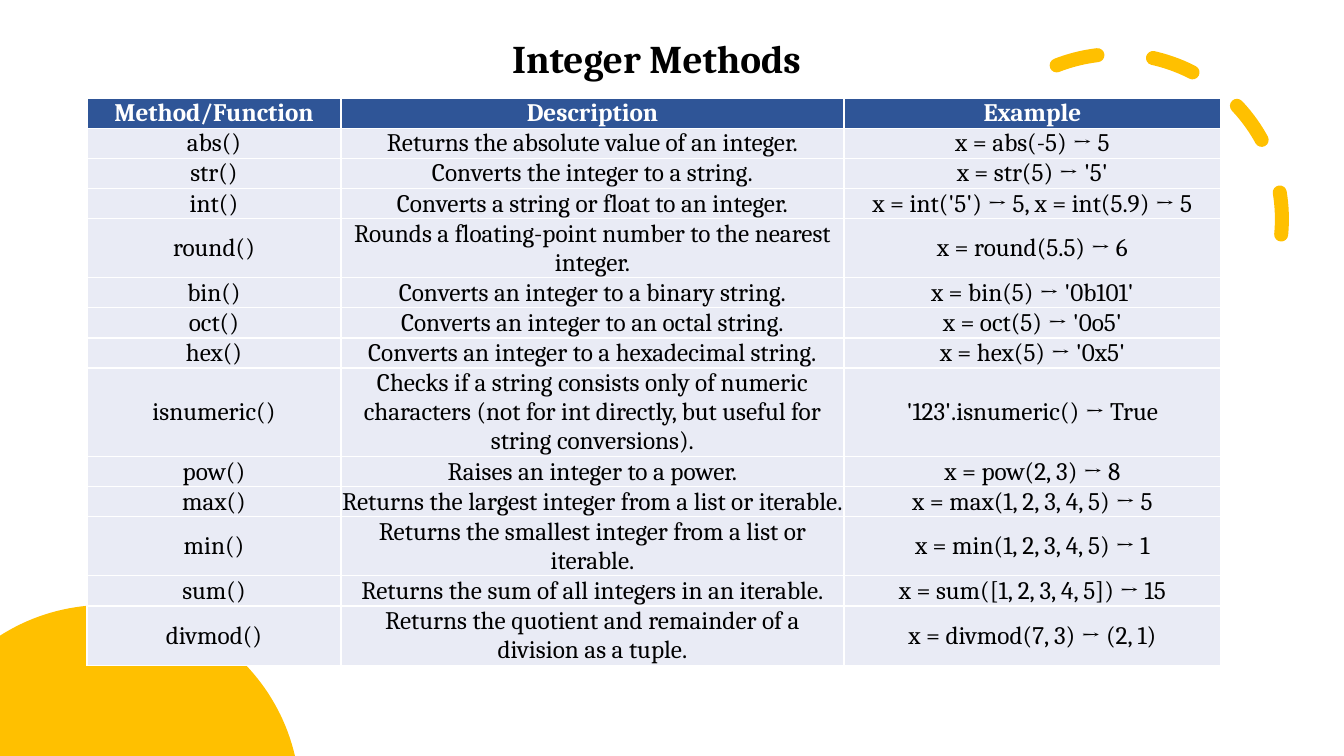
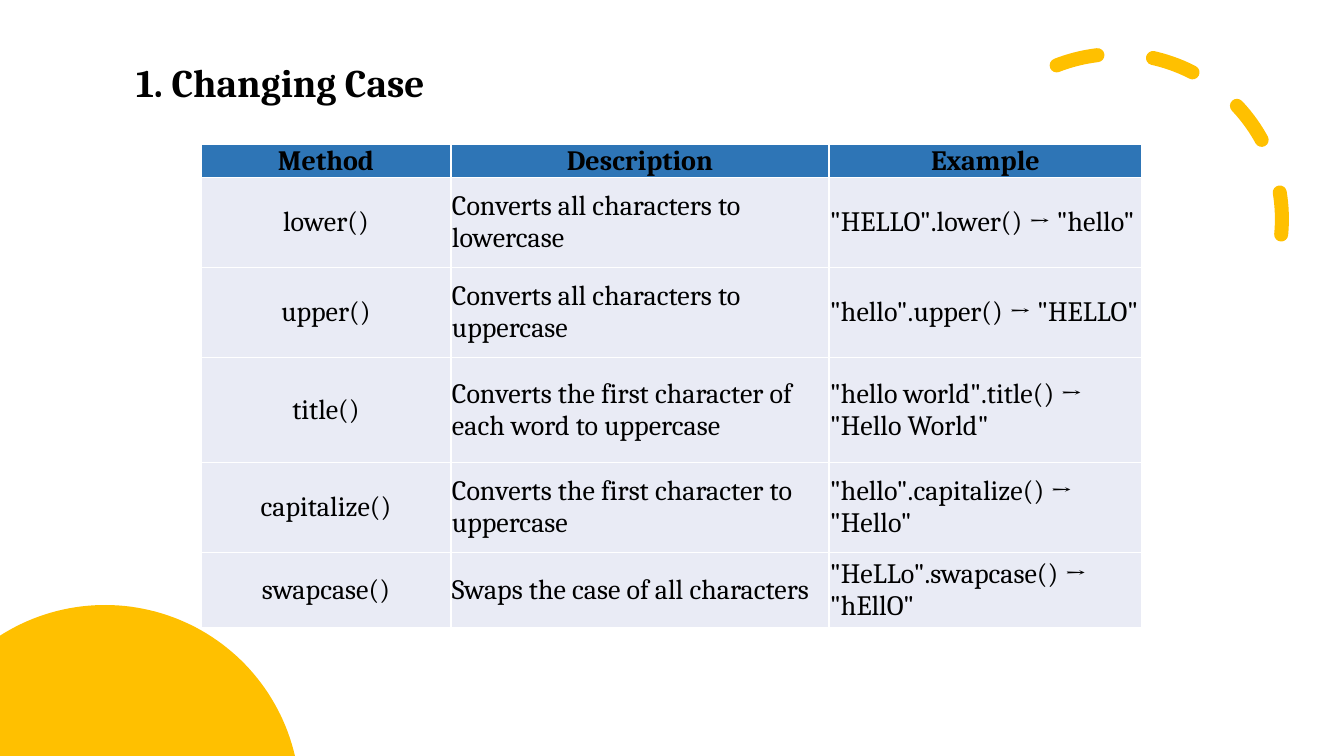
from math import acos, asin, cos, pi, sin
from lxml import etree
from pptx import Presentation
from pptx.dml.color import RGBColor
from pptx.enum.dml import MSO_LINE
from pptx.enum.shapes import MSO_SHAPE
from pptx.enum.text import MSO_ANCHOR, MSO_AUTO_SIZE, PP_ALIGN
from pptx.oxml.ns import qn
from pptx.util import Emu, Pt

ARC = MSO_SHAPE.ARC
DASH = MSO_LINE.DASH
MID = MSO_ANCHOR.MIDDLE
FIXED = MSO_AUTO_SIZE.NONE
LEFT, CENTER = PP_ALIGN.LEFT, PP_ALIGN.CENTER
WIDE, HIGH = 1344, 756

THEME = {
    "font": "Cambria", "title": 28, "gold": "FFC000", "pale": "E9EBF5",
    "ink": "000000", "white": "FFFFFF", "navy": "2F5597", "blue": "2E75B6",
}


def px(count):
    return Emu(round(count * 12192000 / WIDE))


def style(para, size, ink, bold, align):
    para.alignment = align
    for run in para.runs:
        font = run.font
        font.name, font.size, font.bold = THEME["font"], Pt(size), bold
        font.color.rgb = RGBColor.from_string(THEME[ink])


PAGES = [
    {
        "title": "Integer Methods", "place": (502, 29, 340, 57),
        "table": (87, 98), "cols": [254, 503, 377],
        "rows": [29 * lines for lines in (1, 1, 1, 1, 2, 1, 1, 1, 3, 1, 1, 2, 1, 2)],
        "size": 18, "band": "navy", "head": "white", "align": CENTER,
        "cells": [
            ("Method/Function", "Description", "Example"),
            ("abs()", "Returns the absolute value of an integer.", "x = abs(-5) → 5"),
            ("str()", "Converts the integer to a string.", "x = str(5) → '5'"),
            ("int()", "Converts a string or float to an integer.",
             "x = int('5') → 5, x = int(5.9) → 5"),
            ("round()", "Rounds a floating-point number to the nearest integer.",
             "x = round(5.5) → 6"),
            ("bin()", "Converts an integer to a binary string.", "x = bin(5) → '0b101'"),
            ("oct()", "Converts an integer to an octal string.", "x = oct(5) → '0o5'"),
            ("hex()", "Converts an integer to a hexadecimal string.", "x = hex(5) → '0x5'"),
            ("isnumeric()", "Checks if a string consists only of numeric characters "
             "(not for int directly, but useful for string conversions).",
             "'123'.isnumeric() → True"),
            ("pow()", "Raises an integer to a power.", "x = pow(2, 3) → 8"),
            ("max()", "Returns the largest integer from a list or iterable.",
             "x = max(1, 2, 3, 4, 5) → 5"),
            ("min()", "Returns the smallest integer from a list or iterable.",
             "x = min(1, 2, 3, 4, 5) → 1"),
            ("sum()", "Returns the sum of all integers in an iterable.",
             "x = sum([1, 2, 3, 4, 5]) → 15"),
            ("divmod()", "Returns the quotient and remainder of a division as a tuple.",
             "x = divmod(7, 3) → (2, 1)"),
        ],
    },
    {
        "title": "1. Changing Case", "place": (126, 53, 464, 57),
        "table": (201, 144), "cols": [250, 378, 313],
        "rows": [33, 90, 90, 105, 90, 75],
        "size": 20, "band": "blue", "head": "ink", "align": LEFT,
        "cells": [
            ("Method", "Description", "Example"),
            ("lower()", "Converts all characters to lowercase", '"HELLO".lower() → "hello"'),
            ("upper()", "Converts all characters to uppercase", '"hello".upper() → "HELLO"'),
            ("title()", "Converts the first character of each word to uppercase",
             '"hello world".title() → "Hello World"'),
            ("capitalize()", "Converts the first character to uppercase",
             '"hello".capitalize() → "Hello"'),
            ("swapcase()", "Swaps the case of all characters",
             '"HeLLo".swapcase() → "hEllO"'),
        ],
    },
]

deck = Presentation()
deck.slide_width, deck.slide_height = px(WIDE), px(HIGH)
gold = RGBColor.from_string(THEME["gold"])

sun_x, sun_y, sun_r = 105, 800, 195
start, end = acos(-sun_x / sun_r), asin((sun_y - HIGH) / sun_r)
steps = 60
turns = [start + (end - start) * i / steps for i in range(steps + 1)]
rim = [(px(sun_x + sun_r * cos(t)), px(sun_y - sun_r * sin(t))) for t in turns]

for page in PAGES:
    slide = deck.slides.add_slide(deck.slide_layouts[5])
    shapes = slide.shapes

    arc = shapes.add_shape(ARC, px(952), px(54), px(330), px(330))
    arc.shadow.inherit = False
    arc.adjustments[0], arc.adjustments[1] = 144.42, 0
    arc.rotation = 66.1
    arc.element.spPr.find(qn("a:xfrm")).set("flipH", "1")
    arc.fill.background()
    arc.line.color.rgb = gold
    arc.line.width = Pt(10)
    arc.line.dash_style = DASH
    arc.element.spPr.find(qn("a:ln")).set("cap", "rnd")

    pen = shapes.build_freeform(px(0), px(HIGH))
    pen.add_line_segments(rim, close=True)
    sun = pen.convert_to_shape()
    sun.shadow.inherit = False
    sun.fill.solid()
    sun.fill.fore_color.rgb = gold
    sun.line.fill.background()

    title = shapes.title
    title.left, title.top, title.width, title.height = map(px, page["place"])
    frame = title.text_frame
    frame.text = page["title"]
    frame.auto_size, frame.vertical_anchor = FIXED, MID
    style(frame.paragraphs[0], THEME["title"], "ink", True, LEFT)

    left, top = page["table"]
    cols, rows = page["cols"], page["rows"]
    table = shapes.add_table(len(rows), len(cols), px(left), px(top),
                             px(sum(cols)), px(sum(rows))).table
    for col, width in zip(table.columns, cols):
        col.width = px(width)
    for row, height in zip(table.rows, rows):
        row.height = px(height)

    for r, texts in enumerate(page["cells"]):
        for c, text in enumerate(texts):
            cell = table.cell(r, c)
            cell.text = text
            cell.vertical_anchor = MID
            cell.margin_left = cell.margin_right = cell.margin_top = px(1)
            cell.margin_bottom = 0
            props = cell._tc.get_or_add_tcPr()
            for side in ("lnL", "lnR", "lnT", "lnB"):
                edge = etree.SubElement(props, qn("a:" + side), w=str(Pt(1)))
                paint = etree.SubElement(edge, qn("a:solidFill"))
                etree.SubElement(paint, qn("a:srgbClr"), val=THEME["white"])
            head = r == 0
            cell.fill.solid()
            cell.fill.fore_color.rgb = RGBColor.from_string(
                THEME[page["band"] if head else "pale"])
            style(cell.text_frame.paragraphs[0], page["size"],
                  page["head"] if head else "ink", head,
                  CENTER if head or c == 0 else page["align"])

deck.save("out.pptx")
